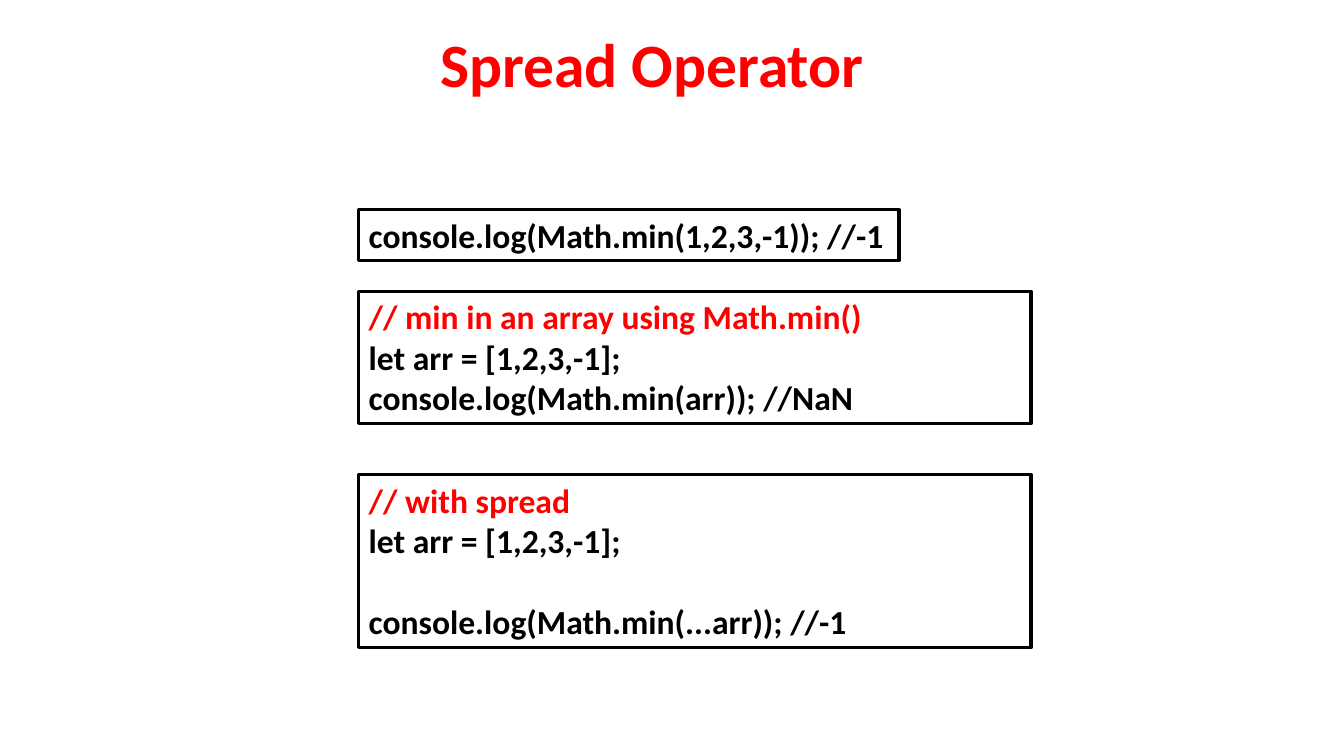
from pptx import Presentation
from pptx.dml.color import RGBColor
from pptx.enum.shapes import MSO_SHAPE
from pptx.enum.text import MSO_ANCHOR, MSO_AUTO_SIZE, PP_ALIGN
from pptx.util import Pt

BLACK = RGBColor(0x00, 0x00, 0x00)
RED = RGBColor(0xFF, 0x00, 0x00)
FONT = "Calibri"
CODE_SIZE = 24
CODE_LINE_HEIGHT = 29.3
CODE_LEFT = 256.3
CODE_WIDTH = 480.2


def add_bold_run(paragraph, text, size, color):
    run = paragraph.add_run()
    run.text = text
    run.font.name = FONT
    run.font.size = Pt(size)
    run.font.bold = True
    run.font.color.rgb = color


def add_title(slide, left, top, width, height, text):
    title = slide.shapes.add_textbox(Pt(left), Pt(top), Pt(width), Pt(height))
    title.text_frame.word_wrap = False
    title.text_frame.auto_size = MSO_AUTO_SIZE.SHAPE_TO_FIT_TEXT
    add_bold_run(title.text_frame.paragraphs[0], text, 44, RED)


def add_code_box(slide, left, top, width, height, lines, wrap=True, gap_before=None):
    """Frame code lines; comment lines are red, and a line's height is left above line gap_before."""
    box = slide.shapes.add_shape(
        MSO_SHAPE.RECTANGLE, Pt(left), Pt(top), Pt(width), Pt(height))
    box.shadow.inherit = False
    box.fill.background()
    box.line.color.rgb = BLACK
    box.line.width = Pt(2.25)
    frame = box.text_frame
    frame.word_wrap = wrap
    frame.auto_size = MSO_AUTO_SIZE.SHAPE_TO_FIT_TEXT
    frame.vertical_anchor = MSO_ANCHOR.TOP
    for index, line in enumerate(lines):
        paragraph = frame.add_paragraph() if index else frame.paragraphs[0]
        paragraph.alignment = PP_ALIGN.LEFT
        if index == gap_before:
            paragraph.space_before = Pt(CODE_LINE_HEIGHT)
        add_bold_run(paragraph, line, CODE_SIZE, RED if line.startswith("//") else BLACK)


def main():
    deck = Presentation()
    deck.slide_width, deck.slide_height = Pt(960), Pt(540)
    slide = deck.slides.add_slide(deck.slide_layouts[6])

    add_code_box(slide, CODE_LEFT, 149.8, 385.9, 36.35,
                 ["console.log(Math.min(1,2,3,-1)); //-1"], wrap=False)
    add_code_box(slide, CODE_LEFT, 208.1, CODE_WIDTH, 94.5, [
        "// min in an array using Math.min()",
        "let arr = [1,2,3,-1];",
        "console.log(Math.min(arr)); //NaN",
    ])
    add_code_box(slide, CODE_LEFT, 339.1, CODE_WIDTH, 123.6, [
        "// with spread",
        "let arr = [1,2,3,-1];",
        "console.log(Math.min(...arr)); //-1",
    ], gap_before=2)
    add_title(slide, 307.4, 15.1, 320.4, 60.6, "Spread Operator")

    deck.save("out.pptx")


if __name__ == "__main__":
    main()
